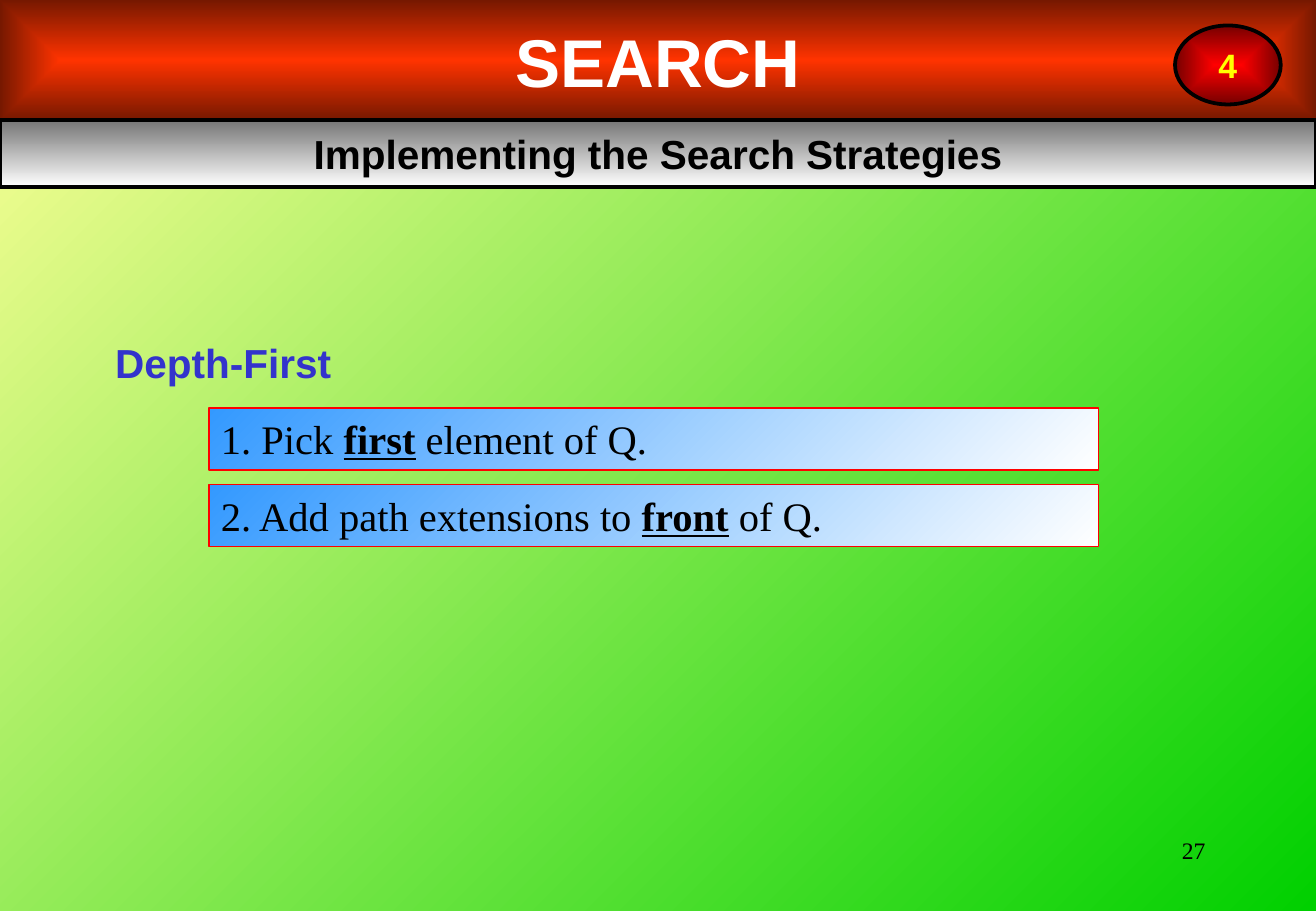
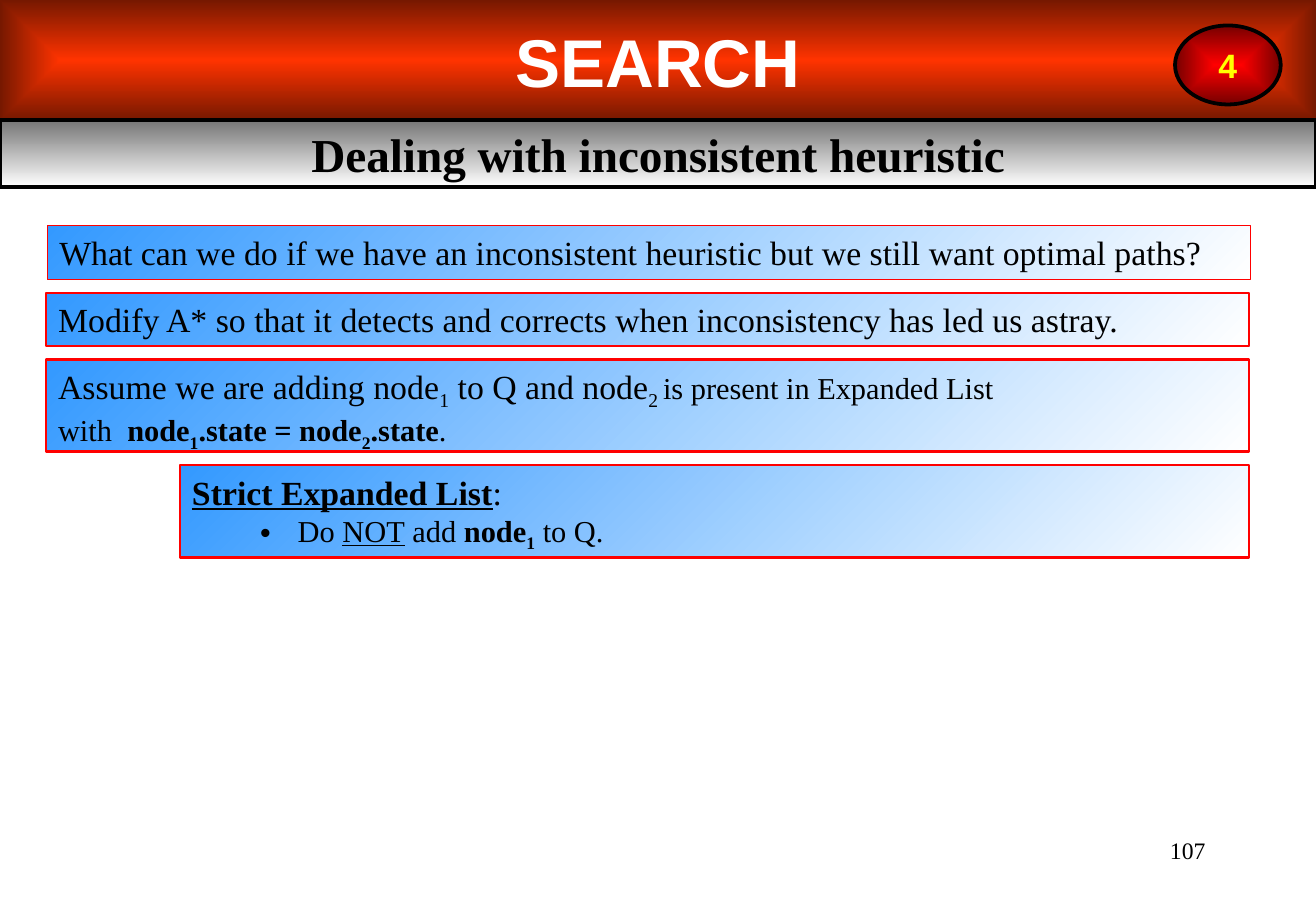
from dataclasses import dataclass, field

from lxml import etree
from pptx import Presentation
from pptx.dml import color, fill
from pptx.enum import shapes, text as txt
from pptx.oxml.ns import qn
from pptx.util import Inches, Pt

WIDTH, HEIGHT = 10.83, 7.5
SERIF, SANS = "Times New Roman", "Arial"
COLORS = {
    "black": "000000", "white": "FFFFFF", "yellow": "FFFF99", "green": "00D000",
    "band": "FF3300", "band_edge": "761800", "bar": "767676",
    "badge": "FF0000", "badge_edge": "760000", "badge_text": "FFFF00",
    "panel": "3399FF", "outline": "FF0000", "heading": "3333CC",
}
BOLD = {"bold": True}
KEYWORD = {"bold": True, "underline": True}
UNDERLINE = {"underline": True}


@dataclass(frozen=True)
class Run:
    text: str
    size: float
    style: dict = field(default_factory=dict)
    color: str = "black"
    font: str = SERIF
    subscript: bool = False


@dataclass(frozen=True)
class Panel:
    left: float
    width: float
    height: float
    lines: list[list[Run]]
    border: float = 0.75
    is_list: bool = False


def rgb(name: str) -> color.RGBColor:
    return color.RGBColor.from_string(COLORS[name])


# Fills, borders and text
def shade(target: fill.FillFormat, start: str, end: str, angle: float = 0) -> None:
    target.gradient()
    target.gradient_angle = (360 - angle) % 360
    for stop, name in zip(target.gradient_stops, (start, end)):
        stop.color.rgb = rgb(name)


def radiate(shape) -> None:
    """Let the gradient of a shape run outward from its centre."""
    gradient = shape._element.spPr.find(qn("a:gradFill"))
    gradient.remove(gradient.find(qn("a:lin")))
    center = etree.SubElement(gradient, qn("a:path"), {"path": "shape"})
    sides = dict.fromkeys("ltrb", "50000")
    etree.SubElement(center, qn("a:fillToRect"), sides)


def outline(shape, name: str, width: float) -> None:
    shape.line.color.rgb = rgb(name)
    shape.line.width = Pt(width)


def place(shape, left: float, top: float, width: float, height: float) -> None:
    shape.left, shape.top = Inches(left), Inches(top)
    shape.width, shape.height = Inches(width), Inches(height)


def write(shape, lines: list[list[Run]], align=txt.PP_ALIGN.LEFT,
          anchor=txt.MSO_ANCHOR.TOP, wrap=True) -> None:
    frame = shape.text_frame
    settings = {"word_wrap": wrap, "auto_size": txt.MSO_AUTO_SIZE.NONE,
                "vertical_anchor": anchor}
    for name, value in settings.items():
        setattr(frame, name, value)
    for index, line in enumerate(lines):
        paragraph = frame.add_paragraph() if index else frame.paragraphs[0]
        paragraph.alignment = align
        for part in line:
            run = paragraph.add_run()
            run.text = part.text
            values = {"name": part.font, "size": Pt(part.size), **part.style}
            for name, value in values.items():
                setattr(run.font, name, value)
            run.font.color.rgb = rgb(part.color)
            if part.subscript:
                run._r.get_or_add_rPr().set("baseline", "-25000")


def indent_list(shape) -> None:
    """Plain first line, then bulleted lines one level down."""
    for index, paragraph in enumerate(shape.text_frame.paragraphs):
        margin, hanging = (0.87, 0.31) if index else (0.26, 0.26)
        properties = paragraph._p.get_or_add_pPr()
        properties.set("marL", str(Inches(margin)))
        properties.set("indent", str(-Inches(hanging)))
        if index:
            etree.SubElement(properties, qn("a:buChar"), {"char": "•"})
        else:
            etree.SubElement(properties, qn("a:buNone"))
        paragraph.level = min(index, 1)
        paragraph.space_before = Pt(0)


def add_block(slide, kind, left: float, top: float, width: float, height: float):
    shape = slide.shapes.add_shape(
        kind, Inches(left), Inches(top), Inches(width), Inches(height))
    shape.shadow.inherit = False
    return shape


def add_text(slide, left: float, top: float, width: float, run: Run, **layout) -> None:
    box = slide.shapes.add_textbox(
        Inches(left), Inches(top), Inches(width), Inches(0.5))
    write(box, [[run]], **layout)


# Parts shared by the slides
def add_header(slide, title: Run, number: str) -> None:
    centered = {"align": txt.PP_ALIGN.CENTER, "anchor": txt.MSO_ANCHOR.MIDDLE}

    add_text(slide, 7.76, 6.83, 2.26, Run(number, 14), align=txt.PP_ALIGN.RIGHT)

    band = add_block(slide, shapes.MSO_SHAPE.RECTANGLE, 0, 0, WIDTH, 0.99)
    shade(band.fill, "band", "band_edge")
    radiate(band)
    band.line.fill.background()
    write(band, [[Run("SEARCH", 40, BOLD, "white", SANS)]], **centered)

    bar = slide.shapes.title
    place(bar, 0, 0.99, WIDTH, 0.55)
    shade(bar.fill, "bar", "white", 90)
    outline(bar, "black", 2.25)
    write(bar, [[title]], **centered)
    band._element.addnext(bar._element)  # keeps the bar's border above the band

    badge = add_block(slide, shapes.MSO_SHAPE.OVAL, 9.67, 0.21, 0.87, 0.65)
    shade(badge.fill, "badge", "badge_edge")
    radiate(badge)
    outline(badge, "black", 2.25)
    write(badge, [[Run("4", 20, BOLD, "badge_text", SANS)]], wrap=False, **centered)


def stack_panels(slide, top: float, gap: float, panels: list[Panel]) -> None:
    for panel in panels:
        bounds = (panel.left, top, panel.width, panel.height)
        if panel.is_list:
            shape = slide.placeholders[1]
            place(shape, *bounds)
        else:
            shape = add_block(slide, shapes.MSO_SHAPE.RECTANGLE, *bounds)
        shade(shape.fill, "panel", "white", 45)
        outline(shape, "outline", panel.border)
        write(shape, panel.lines)
        if panel.is_list:
            indent_list(shape)
        top += panel.height + gap


# Slides
def add_depth_first(deck) -> None:
    slide = deck.slides.add_slide(deck.slide_layouts.get_by_name("Title Only"))
    shade(slide.background.fill, "yellow", "green", 45)
    add_header(slide, Run("Implementing the Search Strategies", 24, BOLD, font=SANS), "27")
    add_text(slide, 0.85, 2.73, 3.86, Run("Depth-First", 24, BOLD, "heading", SANS))
    steps = [("1. Pick ", "first", " element of Q."),
             ("2. Add path extensions to ", "front", " of Q.")]
    stack_panels(slide, 3.36, 0.12, [
        Panel(1.72, 7.32, 0.51, [[Run(before, 24), Run(key, 24, KEYWORD), Run(after, 24)]])
        for before, key, after in steps])


def add_inconsistent_heuristic(deck) -> None:
    slide = deck.slides.add_slide(deck.slide_layouts.get_by_name("Title and Content"))
    slide.background.fill.solid()
    slide.background.fill.fore_color.rgb = rgb("white")
    add_header(slide, Run("Dealing with inconsistent heuristic", 28, BOLD), "107")
    question = ("What can we do if we have an inconsistent heuristic "
                "but we still want optimal paths?")
    answer = ("Modify A* so that it detects and corrects "
              "when inconsistency has led us astray.")
    assumption = [
        [Run("Assume we are adding node", 20), Run("1", 20, subscript=True),
         Run(" to Q and node", 20), Run("2 ", 20, subscript=True),
         Run("is present in Expanded List", 18)],
        [Run("with  ", 18), Run("node", 18, BOLD), Run("1", 18, BOLD, subscript=True),
         Run(".state = node", 18, BOLD), Run("2", 18, BOLD, subscript=True),
         Run(".state", 18, BOLD), Run(".", 18)],
    ]
    strict_list = [
        [Run("Strict Expanded List", 20, KEYWORD), Run(":", 20)],
        [Run("Do ", 18), Run("NOT", 18, UNDERLINE), Run(" add ", 18),
         Run("node", 18, BOLD), Run("1", 18, BOLD, subscript=True), Run(" to Q.", 18)],
    ]
    stack_panels(slide, 1.86, 0.11, [
        Panel(0.39, 9.9, 0.44, [[Run(question, 20)]]),
        Panel(0.38, 9.9, 0.44, [[Run(answer, 20)]], 1),
        Panel(0.38, 9.9, 0.76, assumption, 1.5),
        Panel(1.48, 8.8, 0.76, strict_list, 1.5, is_list=True),
    ])


def main() -> None:
    deck = Presentation()
    deck.slide_width, deck.slide_height = Inches(WIDTH), Inches(HEIGHT)
    add_depth_first(deck)
    add_inconsistent_heuristic(deck)
    deck.save("out.pptx")


if __name__ == "__main__":
    main()
